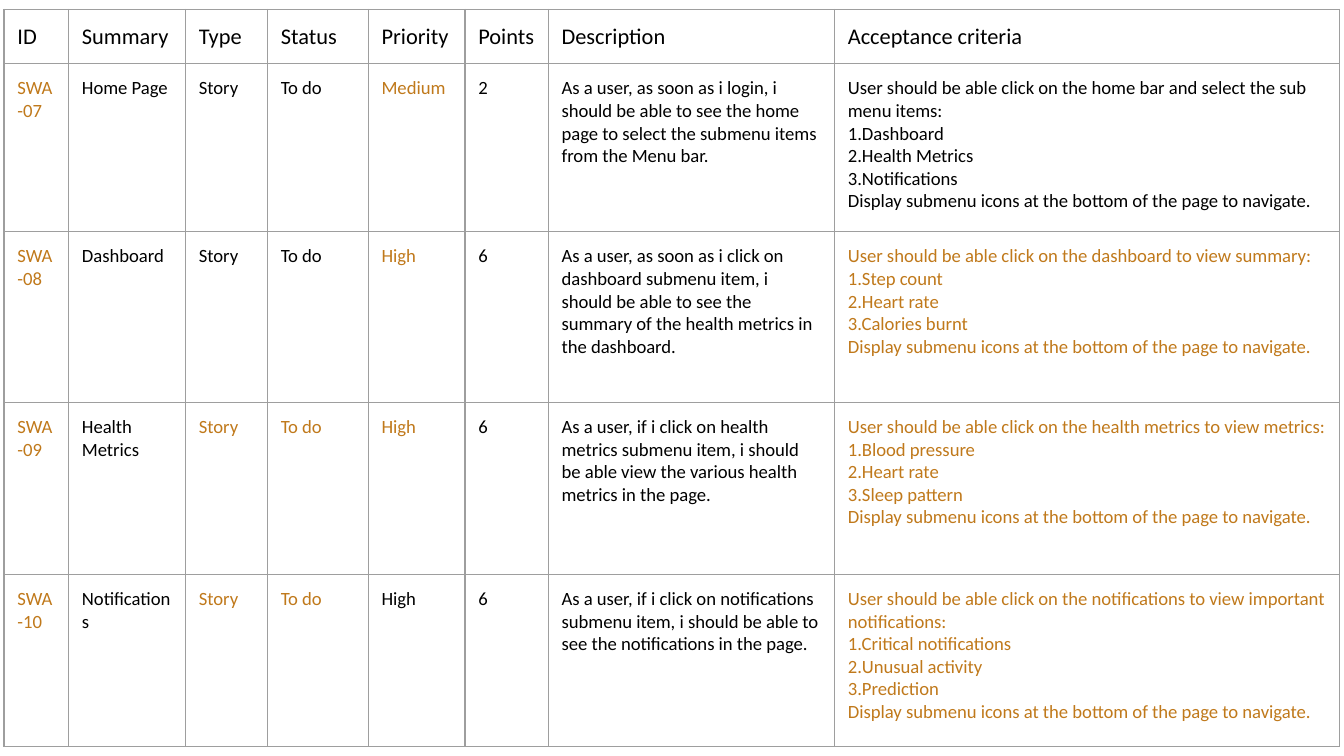
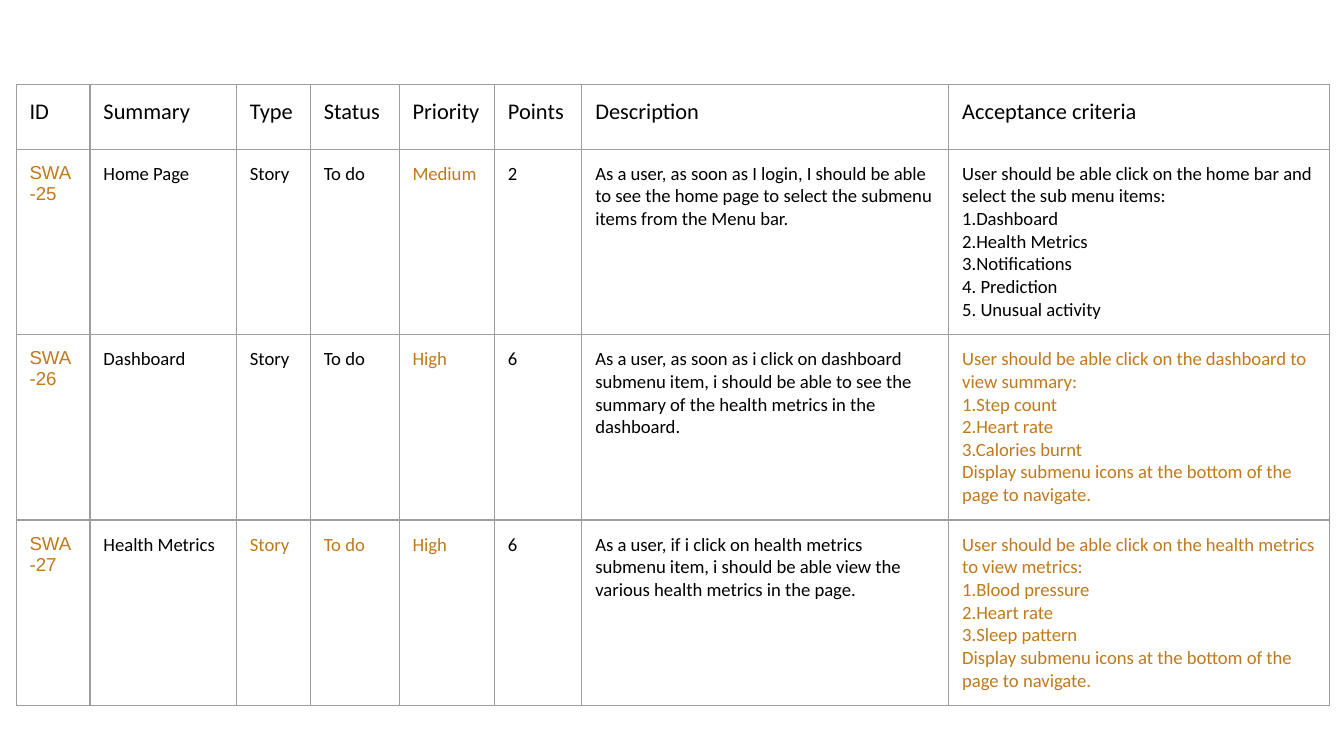
"""Builds two slides of user story tables for a health app backlog."""
from lxml import etree
from pptx import Presentation
from pptx.dml.color import RGBColor
from pptx.enum.text import MSO_ANCHOR
from pptx.oxml.ns import qn
from pptx.util import Inches, Pt

TOP = MSO_ANCHOR.TOP
COLORS = {"text": "000000", "accent": "C0791B", "border": "9E9E9E", "page": "FFFFFF"}
FONT = "Calibri"
HEADER_SIZE, BODY_SIZE = 12, 10
MARGIN = 0.1
BORDER_WIDTH = 0.75
SLIDE_WIDTH = 10
SLIDE_HEIGHT = SLIDE_WIDTH * 9 / 16

HEADERS = ["ID", "Summary", "Type", "Status", "Priority", "Points",
           "Description", "Acceptance criteria"]
NAVIGATE = "Display submenu icons at the bottom of the page to navigate."
HOME_CRITERIA = [
    "User should be able click on the home bar and select the sub menu items:",
    "1.Dashboard", "2.Health Metrics", "3.Notifications",
]

DASHBOARD = {
    "Summary": "Dashboard", "Priority": "High", "Points": "6",
    "Description": "As a user, as soon as i click on dashboard submenu item, i should be "
                   "able to see the summary of the health metrics in the dashboard.",
    "Acceptance criteria": [
        "User should be able click on the dashboard to view summary:",
        "1.Step count", "2.Heart rate", "3.Calories burnt", NAVIGATE],
    "accented": ["ID", "Priority", "Acceptance criteria"],
}
HEALTH_METRICS = {
    "Summary": "Health Metrics", "Priority": "High", "Points": "6",
    "Description": "As a user, if i click on health metrics submenu item, i should be able "
                   "view the various health metrics in the page.",
    "Acceptance criteria": [
        "User should be able click on the health metrics to view metrics:",
        "1.Blood pressure", "2.Heart rate", "3.Sleep pattern", NAVIGATE],
    "accented": ["ID", "Type", "Status", "Priority", "Acceptance criteria"],
}
NOTIFICATIONS = {
    "Summary": "Notifications", "Priority": "High", "Points": "6",
    "Description": "As a user, if i click on notifications submenu item, i should be able to "
                   "see the notifications in the page.",
    "Acceptance criteria": [
        "User should be able click on the notifications to view important notifications:",
        "1.Critical notifications", "2.Unusual activity", "3.Prediction", NAVIGATE],
    "accented": ["ID", "Type", "Status", "Acceptance criteria"],
}


def home_page(pronoun, closing_lines):
    return {
        "Summary": "Home Page", "Priority": "Medium", "Points": "2",
        "Description": f"As a user, as soon as {pronoun} login, {pronoun} should be able to see "
                       "the home page to select the submenu items from the Menu bar.",
        "Acceptance criteria": HOME_CRITERIA + closing_lines,
        "accented": ["ID", "Priority"],
    }


BACKLOGS = [
    {"left": 0.03, "top": 0.07, "id_prefix": "SWA-", "first_id": 7, "id_font": FONT,
     "widths": [0.48, 0.87, 0.61, 0.75, 0.72, 0.62, 2.13, 3.76],
     "heights": [0.37, 1.25, 1.27, 1.28, 1.28],
     "stories": [home_page("i", [NAVIGATE]), DASHBOARD, HEALTH_METRICS, NOTIFICATIONS]},
    {"left": 0.12, "top": 0.63, "id_prefix": "SWA -", "first_id": 25, "id_font": "Arial",
     "widths": [0.55, 1.09, 0.55, 0.66, 0.71, 0.65, 2.73, 2.83],
     "heights": [0.48, 1.33, 1.33, 0.95],
     "stories": [home_page("I", ["4. Prediction", "5. Unusual activity"]),
                 DASHBOARD, HEALTH_METRICS]},
]


def add_borders(cell):
    properties = cell._tc.get_or_add_tcPr()
    for position, side in enumerate(("lnL", "lnR", "lnT", "lnB")):
        border = etree.Element(qn(f"a:{side}"), w=str(Pt(BORDER_WIDTH)))
        fill = etree.SubElement(border, qn("a:solidFill"))
        etree.SubElement(fill, qn("a:srgbClr"), val=COLORS["border"])
        properties.insert(position, border)


def fill_cell(cell, lines, size, color, font=FONT):
    cell.fill.background()
    add_borders(cell)
    cell.vertical_anchor = TOP
    cell.margin_left = cell.margin_right = Inches(MARGIN)
    cell.margin_top = cell.margin_bottom = Inches(MARGIN)
    frame = cell.text_frame
    for index, line in enumerate(lines):
        paragraph = frame.add_paragraph() if index else frame.paragraphs[0]
        run = paragraph.add_run()
        run.text = line
        run.font.name = font
        run.font.size = Pt(size)
        run.font.color.rgb = RGBColor.from_string(COLORS[color])


def add_backlog(slide, backlog):
    widths, heights = backlog["widths"], backlog["heights"]
    table = slide.shapes.add_table(
        len(heights), len(widths), Inches(backlog["left"]), Inches(backlog["top"]),
        Inches(sum(widths)), Inches(sum(heights))).table
    table.first_row = table.horz_banding = False
    for column, width in zip(table.columns, widths):
        column.width = Inches(width)
    for row, height in zip(table.rows, heights):
        row.height = Inches(height)

    for column, header in enumerate(HEADERS):
        fill_cell(table.cell(0, column), [header], HEADER_SIZE, "text")
    for row, story in enumerate(backlog["stories"], 1):
        story_id = f"{backlog['id_prefix']}{backlog['first_id'] + row - 1:02d}"
        values = {"ID": story_id, "Type": "Story", "Status": "To do", **story}
        for column, header in enumerate(HEADERS):
            value = values[header]
            lines = value if isinstance(value, list) else [value]
            color = "accent" if header in story["accented"] else "text"
            font = backlog["id_font"] if header == "ID" else FONT
            fill_cell(table.cell(row, column), lines, BODY_SIZE, color, font)


def main():
    deck = Presentation()
    deck.slide_width, deck.slide_height = Inches(SLIDE_WIDTH), Inches(SLIDE_HEIGHT)
    for backlog in BACKLOGS:
        slide = deck.slides.add_slide(deck.slide_layouts[6])
        slide.background.fill.solid()
        slide.background.fill.fore_color.rgb = RGBColor.from_string(COLORS["page"])
        add_backlog(slide, backlog)
    deck.save("out.pptx")


if __name__ == "__main__":
    main()
